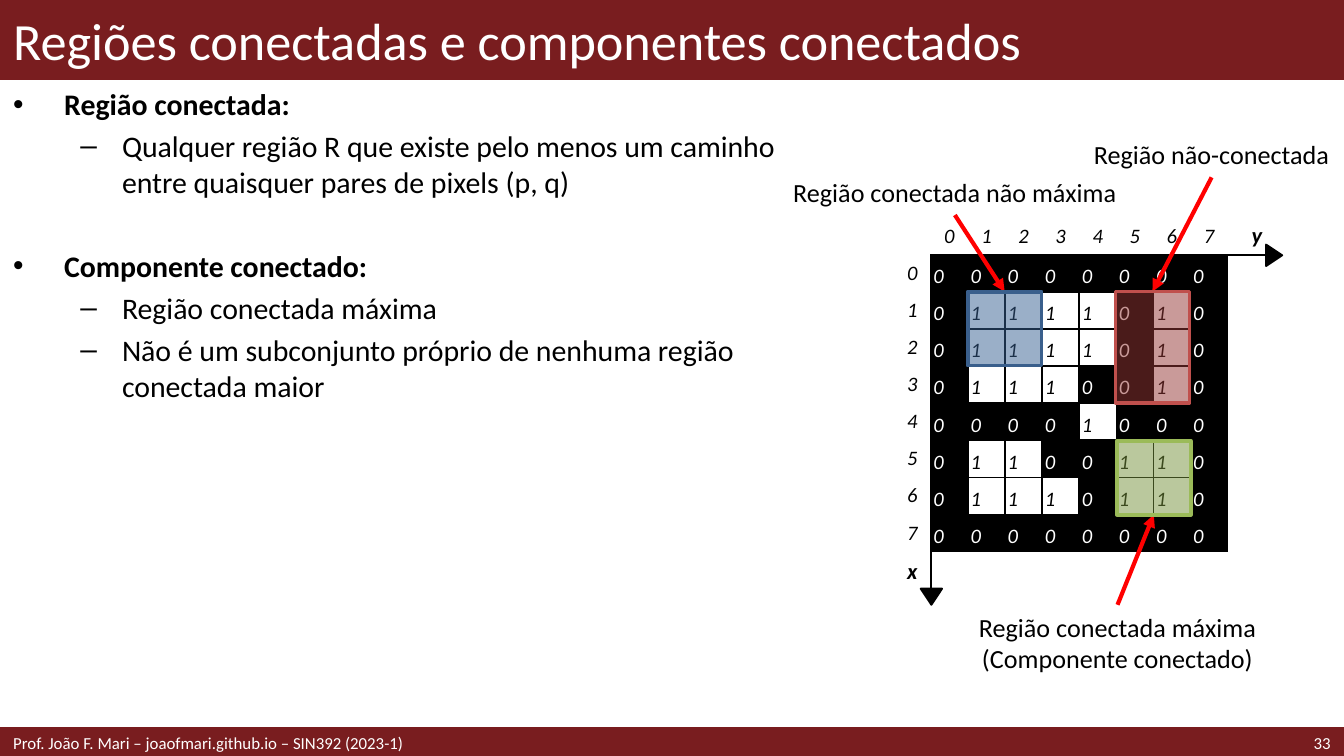
from lxml import etree
from pptx import Presentation
from pptx import util as u
from pptx.dml.color import RGBColor
from pptx.enum import shapes, text
from pptx.oxml import ns

MAROON = RGBColor(0x79, 0x1D, 0x1F)
WHITE = RGBColor(0xFF, 0xFF, 0xFF)
BLACK = RGBColor(0x00, 0x00, 0x00)
ARROW_RED = RGBColor(0xFF, 0x00, 0x00)
BLUE_FILL = RGBColor(0x37, 0x60, 0x92)
BLUE_EDGE = RGBColor(0x3A, 0x5F, 0x8C)
RED_FILL = RGBColor(0x95, 0x37, 0x35)
RED_EDGE = RGBColor(0xC0, 0x50, 0x4D)
GREEN_FILL = RGBColor(0x77, 0x93, 0x3C)
GREEN_EDGE = RGBColor(0x9B, 0xBB, 0x59)

LEFT, CENTER, RIGHT = text.PP_ALIGN.LEFT, text.PP_ALIGN.CENTER, text.PP_ALIGN.RIGHT
TOP, MIDDLE, BOTTOM = text.MSO_ANCHOR.TOP, text.MSO_ANCHOR.MIDDLE, text.MSO_ANCHOR.BOTTOM


def write(frame, content, size, color=BLACK, bold=False, italic=False, align=LEFT,
          before=0, bullet=None, margin=0, hang=0):
    paragraph = frame.paragraphs[0]
    if paragraph.runs:
        paragraph = frame.add_paragraph()
    if bullet:
        properties = paragraph._p.get_or_add_pPr()
        properties.set("marL", str(u.Inches(margin)))
        properties.set("indent", str(-u.Inches(hang)))
        etree.SubElement(properties, ns.qn("a:buFont")).set("typeface", "Arial")
        etree.SubElement(properties, ns.qn("a:buChar")).set("char", bullet)
    paragraph.alignment = align
    paragraph.space_before = u.Pt(before)
    run = paragraph.add_run()
    run.text = content
    run.font.name = "Calibri"
    run.font.size = u.Pt(size)
    run.font.bold = bold
    run.font.italic = italic
    run.font.color.rgb = color


def add_box(left, top, width, height, kind=None, fill=None, edge=None, weight=1, anchor=TOP):
    bounds = [u.Inches(v) for v in (left, top, width, height)]
    if kind is None:
        box = slide.shapes.add_textbox(*bounds)
        box.text_frame.word_wrap = True
        box.text_frame.vertical_anchor = anchor
        return box
    box = slide.shapes.add_shape(kind, *bounds)
    box.shadow.inherit = False
    box.fill.solid()
    box.fill.fore_color.rgb = fill
    box.line.color.rgb = edge
    box.line.width = u.Pt(weight)
    return box


deck = Presentation()
deck.slide_width = u.Inches(10)
deck.slide_height = u.Inches(10 * 9 / 16)
slide = deck.slides.add_slide(deck.slide_layouts[6])
RECTANGLE = shapes.MSO_SHAPE.RECTANGLE
TRIANGLE = shapes.MSO_SHAPE.ISOSCELES_TRIANGLE

add_box(0, 0, 10, 0.59, RECTANGLE, MAROON, MAROON)
add_box(0, 5.42, 10, 0.21, RECTANGLE, MAROON, MAROON, 2)
for bounds, content, size, align in [
    ((0, 0, 10, 0.59), "Regiões conectadas e componentes conectados", 28, LEFT),
    ((8.86, 5.42, 1.14, 0.21), "33", 9, RIGHT),
    ((0, 5.42, 6.89, 0.21), "Prof. João F. Mari – joaofmari.github.io – SIN392 (2023-1)", 9, LEFT),
]:
    write(add_box(*bounds, anchor=MIDDLE).text_frame, content, size, WHITE, align=align)

definitions = add_box(0, 0.59, 6.26, 4.82).text_frame
for heading, gap, points in [
    ("Região conectada:", 0,
     ["Qualquer região R que existe pelo menos um caminho entre quaisquer pares de pixels (p, q)"]),
    ("Componente conectado:", 26,
     ["Região conectada máxima",
      "Não é um subconjunto próprio de nenhuma região conectada maior"]),
]:
    write(definitions, heading, 16, bold=True, before=gap, bullet="•", margin=0.38, hang=0.38)
    for point in points:
        write(definitions, point, 16, before=3.2, bullet="–", margin=0.81, hang=0.31)

pixels = ["00000000", "01111010", "01111010", "01110010",
          "00001000", "01100110", "01110110", "00000000"]
last = len(pixels) + 1
grid = slide.shapes.add_table(last + 1, last + 1, u.Inches(6.65), u.Inches(1.62),
                              u.Inches(2.76), u.Inches(2.76)).table
grid.first_row = grid.horz_banding = False
for band in grid.columns:
    band.width = u.Inches(2.76 / (last + 1))
for band in grid.rows:
    band.height = u.Inches(2.76 / (last + 1))

for row in range(last + 1):
    for column in range(last + 1):
        cell = grid.cell(row, column)
        cell.margin_left = cell.margin_right = u.Inches(0.02)
        cell.margin_top = cell.margin_bottom = u.Inches(0.02)
        is_pixel = 0 < row < last and 0 < column < last
        sides = {
            "L": is_pixel or (column == 1 and row > 0) or (column == last and 0 < row < last),
            "R": is_pixel or (column == 0 and row > 0),
            "T": is_pixel or (row == 1 and column > 0) or (row == last and 0 < column < last),
            "B": is_pixel or (row == 0 and column > 0),
        }
        for side, drawn in sides.items():
            border = etree.SubElement(cell._tc.get_or_add_tcPr(), ns.qn("a:ln" + side))
            border.set("w", str(u.Pt(1)))
            paint = etree.SubElement(border, ns.qn("a:solidFill" if drawn else "a:noFill"))
            if drawn:
                etree.SubElement(paint, ns.qn("a:srgbClr")).set("val", str(BLACK))
        cell.vertical_anchor = BOTTOM if is_pixel or row == last else MIDDLE
        cell.fill.background()
        if is_pixel:
            value = pixels[row - 1][column - 1]
            cell.fill.solid()
            cell.fill.fore_color.rgb = WHITE if value == "1" else BLACK
            write(cell.text_frame, value, 11, BLACK if value == "1" else WHITE, italic=True)
        elif (row, column) == (0, last):
            write(cell.text_frame, "y", 12, bold=True, italic=True, align=RIGHT)
        elif (row, column) == (last, 0):
            write(cell.text_frame, "x", 12, bold=True, italic=True, align=CENTER)
        elif row + column > 0 and row * column == 0:
            write(cell.text_frame, str(row + column - 1), 11, italic=True, align=CENTER)
        else:
            cell.text_frame.paragraphs[0]._p.get_or_add_endParaRPr().set("sz", "1100")

for left, top, turn in [(9.4, 1.84, 90), (6.85, 4.38, 180)]:
    add_box(left, top, 0.16, 0.12, TRIANGLE, BLACK, BLACK).rotation = turn

for lines, label_bounds, region_bounds, fill, edge, label_site, region_site in [
    (["Região conectada não máxima"], (5.79, 1.26, 2.63, 0.34),
     (7.2, 2.17, 0.55, 0.55), BLUE_FILL, BLUE_EDGE, 2, 0),
    (["Região não-conectada"], (8.03, 0.98, 1.97, 0.34),
     (8.3, 2.17, 0.55, 0.83), RED_FILL, RED_EDGE, 2, 0),
    (["Região conectada máxima", "(Componente conectado)"], (6.79, 4.5, 3.05, 0.57),
     (8.31, 3.28, 0.55, 0.55), GREEN_FILL, GREEN_EDGE, 0, 2),
]:
    label = add_box(*label_bounds)
    label.text_frame.word_wrap = len(lines) > 1
    for line in lines:
        write(label.text_frame, line, 14, align=CENTER)
    arrow = slide.shapes.add_connector(shapes.MSO_CONNECTOR.STRAIGHT, 0, 0, 0, 0)
    region = add_box(*region_bounds, RECTANGLE, fill, edge, 2)
    tint = region.fill._xPr.find(".//" + ns.qn("a:srgbClr"))
    etree.SubElement(tint, ns.qn("a:alpha")).set("val", "50000")
    arrow.begin_connect(label, label_site)
    arrow.end_connect(region, region_site)
    arrow.line.color.rgb = ARROW_RED
    arrow.line.width = u.Pt(2.25)
    etree.SubElement(arrow.line._get_or_add_ln(), ns.qn("a:tailEnd")).set("type", "triangle")
    etree.SubElement(arrow._element.spPr, ns.qn("a:effectLst"))

deck.save("out.pptx")
